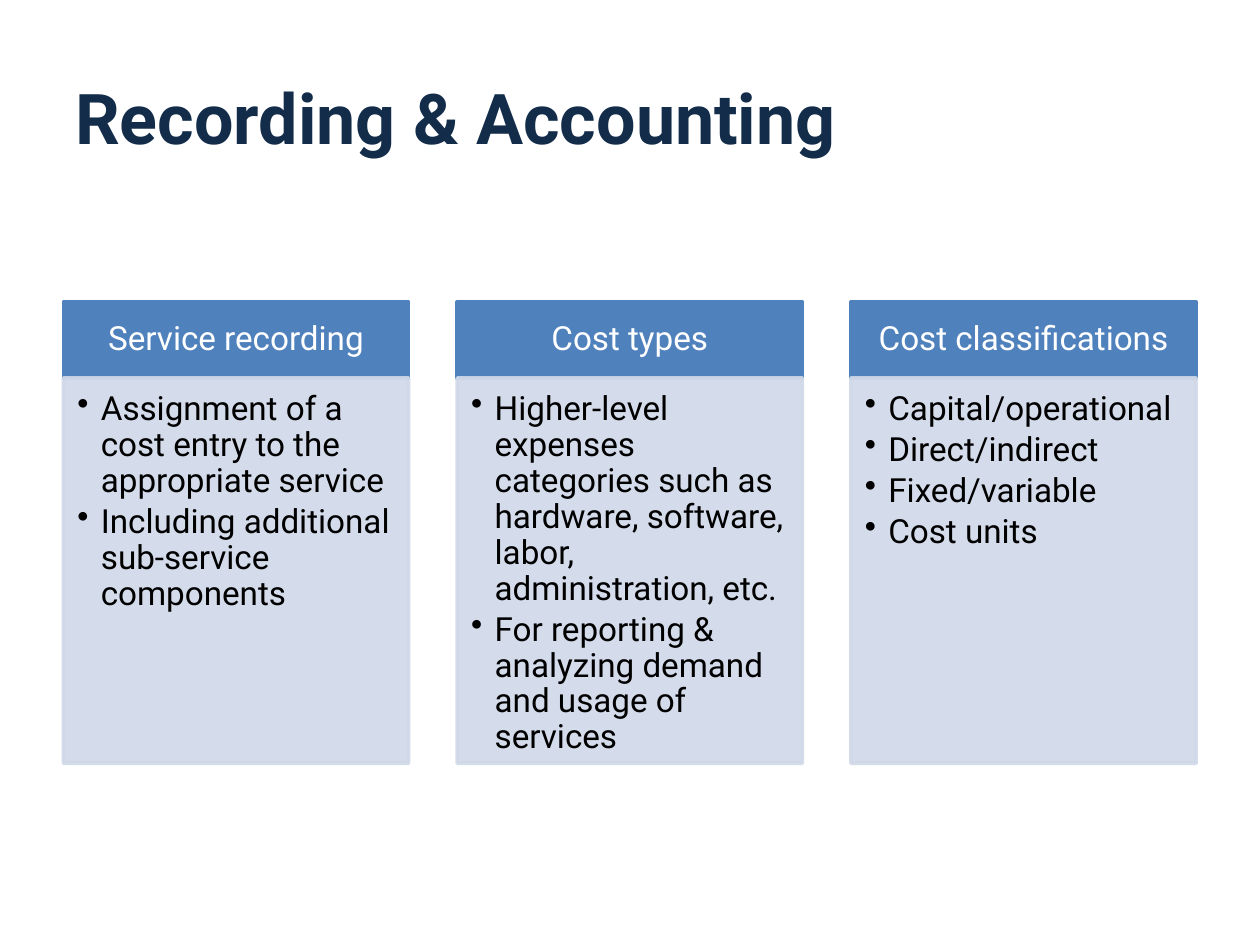
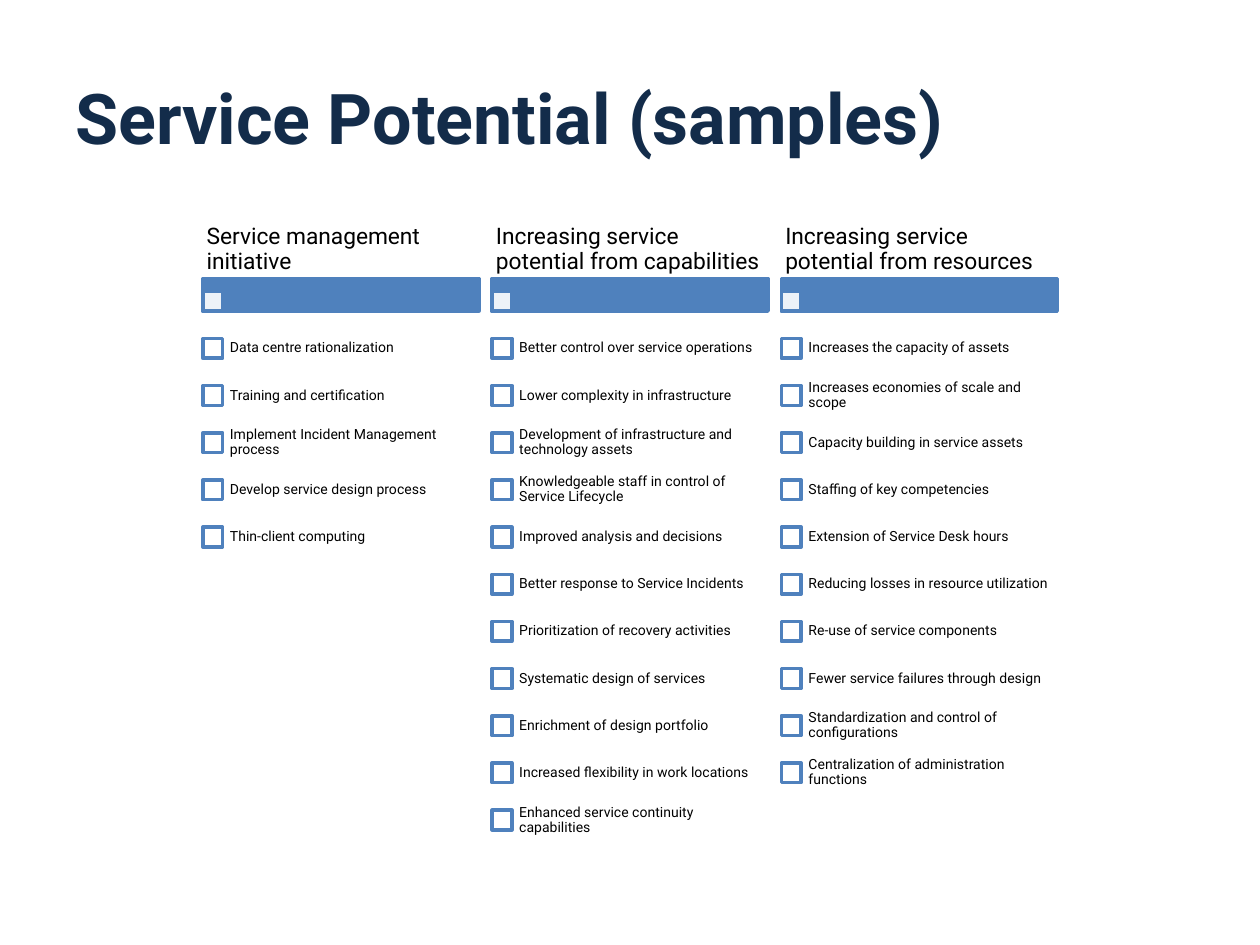
from dataclasses import dataclass

from lxml.etree import SubElement
from pptx import Presentation
from pptx.dml.color import RGBColor
from pptx.enum.shapes import MSO_SHAPE as Shape
from pptx.enum.text import MSO_ANCHOR as Anchor, PP_ALIGN as Align
from pptx.oxml.ns import qn
from pptx.util import Pt


@dataclass(frozen=True)
class Theme:
    font: str = "Roboto"
    navy: RGBColor = RGBColor(0x13, 0x2C, 0x4A)
    blue: RGBColor = RGBColor(0x4F, 0x81, 0xBD)
    pale: RGBColor = RGBColor(0xD0, 0xD8, 0xE8)
    white: RGBColor = RGBColor(0xFF, 0xFF, 0xFF)
    black: RGBColor = RGBColor(0, 0, 0)
    title_size: int = 40
    panel_size: int = 19
    heading_size: int = 13
    item_size: int = 8
    outline: int = 2
    line_spacing: float = 0.9


theme = Theme()

RECORDING_TITLE = "Recording & Accounting"
POTENTIAL_TITLE = "Service Potential (samples)"

RECORDING_PANELS = {
    "Service recording": [
        "Assignment of a cost entry to the appropriate service",
        "Including additional sub-service components",
    ],
    "Cost types": [
        "Higher-level expenses categories such as hardware, software, "
        "labor, administration, etc.",
        "For reporting & analyzing demand and usage of services",
    ],
    "Cost classifications": [
        "Capital/operational",
        "Direct/indirect",
        "Fixed/variable",
        "Cost units",
    ],
}

POTENTIAL_LISTS = {
    "Service management initiative": [
        "Data centre rationalization",
        "Training and certification",
        "Implement Incident Management process",
        "Develop service design process",
        "Thin-client computing",
    ],
    "Increasing service potential from capabilities": [
        "Better control over service operations",
        "Lower complexity in infrastructure",
        "Development of infrastructure and technology assets",
        "Knowledgeable staff in control of Service Lifecycle",
        "Improved analysis and decisions",
        "Better response to Service Incidents",
        "Prioritization of recovery activities",
        "Systematic design of services",
        "Enrichment of design portfolio",
        "Increased flexibility in work locations",
        "Enhanced service continuity capabilities",
    ],
    "Increasing service potential from resources": [
        "Increases the capacity of assets",
        "Increases economies of scale and scope",
        "Capacity building in service assets",
        "Staffing of key competencies",
        "Extension of Service Desk hours",
        "Reducing losses in resource utilization",
        "Re-use of service components",
        "Fewer service failures through design",
        "Standardization and control of configurations",
        "Centralization of administration functions",
    ],
}


def add_box(slide, bounds, fill, line, opacity=(100, 100)):
    """Add a rectangle; opacity holds the percentages for fill and line."""
    shape = slide.shapes.add_shape(Shape.RECTANGLE, *map(Pt, bounds))
    shape.shadow.inherit = False
    shape.fill.solid()
    shape.fill.fore_color.rgb = fill
    shape.line.color.rgb = line
    shape.line.width = Pt(theme.outline)
    colors = shape.element.spPr.iter(qn("a:srgbClr"))
    for color, percent in zip(colors, opacity):
        if percent < 100:
            SubElement(color, qn("a:alpha"), val=str(percent * 1000))
    return shape


def write_text(shape, texts, size, color, insets, anchor=Anchor.MIDDLE,
               align=Align.LEFT, spacing=theme.line_spacing, bold=False, bulleted=False):
    """Fill a shape with one paragraph per text; insets run left, top, right, bottom."""
    frame = shape.text_frame
    frame.word_wrap = True
    frame.vertical_anchor = anchor
    (frame.margin_left, frame.margin_top,
     frame.margin_right, frame.margin_bottom) = map(Pt, insets)
    for index, text in enumerate(texts):
        paragraph = frame.add_paragraph() if index else frame.paragraphs[0]
        paragraph.text = text
        paragraph.alignment = align
        paragraph.line_spacing = spacing
        if bulleted:
            paragraph.space_after = Pt(2.85)
            properties = paragraph._p.get_or_add_pPr()
            properties.set("marL", str(Pt(13.5)))
            properties.set("indent", str(Pt(-13.5)))
            SubElement(properties, qn("a:buChar"), char="•")
        paragraph.font.name = theme.font
        paragraph.font.size = Pt(size)
        paragraph.font.bold = bold
        paragraph.font.color.rgb = color


presentation = Presentation()
presentation.slide_width = Pt(720)
presentation.slide_height = Pt(540)
blank_layout = presentation.slide_layouts[6]

slides = []
for title in (RECORDING_TITLE, POTENTIAL_TITLE):
    slide = presentation.slides.add_slide(blank_layout)
    title_box = slide.shapes.add_textbox(Pt(36), Pt(21.6), Pt(648), Pt(90))
    write_text(title_box, [title], theme.title_size, theme.navy,
               (7.2, 3.6, 7.2, 3.6), spacing=1.0, bold=True)
    slides.append(slide)
recording_slide, potential_slide = slides

# Recording & Accounting: three headed panels
panel_width, panel_pitch = 197.4, 225
header_top, header_height, body_height = 172.6, 43.4, 220.2
for column, (heading, points) in enumerate(RECORDING_PANELS.items()):
    left = 36.2 + column * panel_pitch
    header = add_box(recording_slide, (left, header_top, panel_width, header_height),
                     theme.blue, theme.blue)
    write_text(header, [heading], theme.panel_size, theme.white,
               (10.8, 5.8, 10.8, 5.8), align=Align.CENTER)
    body = add_box(recording_slide,
                   (left, header_top + header_height, panel_width, body_height),
                   theme.pale, theme.pale, opacity=(90, 90))
    write_text(body, points, theme.panel_size, theme.black, (8, 8, 10.8, 12),
               anchor=Anchor.TOP, bulleted=True)

# Service Potential: three checklists under heading bars
list_width, list_pitch = 157.7, 165.3
bar_top, bar_height = 159.2, 18.6
check_size, row_height, first_row_top = 11.3, 26.95, 185.6
for column, (heading, items) in enumerate(POTENTIAL_LISTS.items()):
    left = 115.9 + column * list_pitch
    add_box(potential_slide, (left, bar_top, list_width, bar_height),
            theme.blue, theme.blue)
    add_box(potential_slide,
            (left, bar_top + bar_height - check_size, check_size, check_size),
            theme.white, theme.blue, opacity=(90, 100))
    heading_box = potential_slide.shapes.add_textbox(
        Pt(left), Pt(126), Pt(list_width), Pt(bar_top - 126))
    write_text(heading_box, [heading], theme.heading_size, theme.black,
               (2.2, 1.5, 2.2, 1.5))
    for row, item in enumerate(items):
        top = first_row_top + row * row_height
        add_box(potential_slide,
                (left, top + (row_height - check_size) / 2, check_size, check_size),
                theme.white, theme.blue)
        item_box = potential_slide.shapes.add_textbox(
            Pt(left + check_size), Pt(top), Pt(list_width - check_size), Pt(row_height))
        write_text(item_box, [item], theme.item_size, theme.black, (4.2, 4.2, 4.2, 4.2))

presentation.save("out.pptx")
